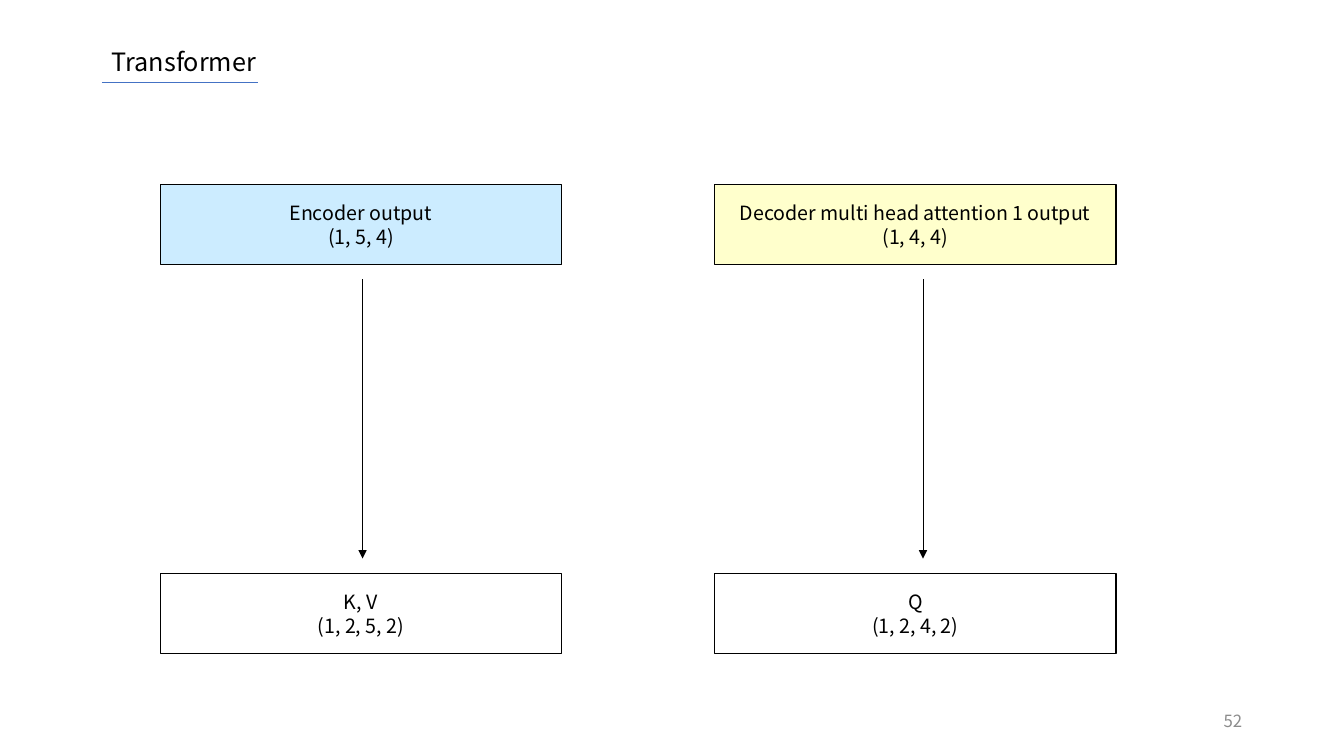
from dataclasses import dataclass

from lxml import etree
from pptx import Presentation
from pptx.dml.color import RGBColor
from pptx.enum import shapes, text
from pptx.oxml import ns
from pptx.util import Pt


@dataclass(frozen=True)
class Theme:
    """Colours, font and type sizes of the deck."""
    font: str = "Noto Sans CJK KR"
    ink: str = "000000"
    accent: str = "4472C4"
    muted: str = "8C8C8C"
    encoder: str = "CCECFF"
    decoder: str = "FFFFCC"
    plain: str = "FFFFFF"
    title_size: int = 18
    body_size: int = 14
    number_size: int = 12
    spacing: float = 1.0


THEME = Theme()


def write(shape, lines, size, color, align, anchor):
    """Fill a shape with one paragraph per line."""
    frame = shape.text_frame
    frame.word_wrap = True
    frame.vertical_anchor = anchor
    frame.text = "\n".join(lines)
    for para in frame.paragraphs:
        para.alignment = align
        para.line_spacing = THEME.spacing
        para.font.name = THEME.font
        para.font.size = Pt(size)
        para.font.color.rgb = RGBColor.from_string(color)


def add_line(page, start, end, color, arrow=False):
    """Draw a thin straight line, with an arrowhead at its end if asked."""
    line = page.shapes.add_connector(
        shapes.MSO_CONNECTOR.STRAIGHT, *map(Pt, start + end))
    line.line.color.rgb = RGBColor.from_string(color)
    line.line.width = Pt(0.5)
    properties = line._element.spPr
    etree.SubElement(properties, ns.qn("a:effectLst"))
    if arrow:
        outline = line.line._get_or_add_ln()
        etree.SubElement(outline, ns.qn("a:tailEnd"), type="triangle")


def add_title(page, box, title):
    """Place the title and the rule below it."""
    left, top, width, height = box
    heading = page.shapes.add_textbox(*map(Pt, box))
    write(heading, [title], THEME.title_size, THEME.ink,
          text.PP_ALIGN.LEFT, text.MSO_ANCHOR.TOP)
    rule = top + height + 0.5
    add_line(page, (left, rule), (left + 111.5, rule), THEME.accent)


def add_page_number(page, box, number):
    """Place the page number at the right of its box."""
    label = page.shapes.add_textbox(*map(Pt, box))
    write(label, [number], THEME.number_size, THEME.muted,
          text.PP_ALIGN.RIGHT, text.MSO_ANCHOR.MIDDLE)


def add_block(page, box, lines, fill):
    """Draw an outlined rectangle with centred lines of text."""
    block = page.shapes.add_shape(shapes.MSO_SHAPE.RECTANGLE, *map(Pt, box))
    block.shadow.inherit = False
    block.fill.solid()
    block.fill.fore_color.rgb = RGBColor.from_string(fill)
    block.line.color.rgb = RGBColor.from_string(THEME.ink)
    block.line.width = Pt(1)
    write(block, lines, THEME.body_size, THEME.ink,
          text.PP_ALIGN.CENTER, text.MSO_ANCHOR.MIDDLE)


def add_flow(page, box, source, result, fill, arrow_offset):
    """Draw a source block, an arrow and the resulting block in a column."""
    left, top, width, height = box
    block_height, gap = 57, 10.8
    bottom = top + height
    add_block(page, (left, top, width, block_height), source, fill)
    add_block(page, (left, bottom - block_height, width, block_height),
              result, THEME.plain)
    middle = left + arrow_offset
    add_line(page, (middle, top + block_height + gap),
             (middle, bottom - block_height - gap), THEME.ink, arrow=True)


def main():
    """Build and save the deck."""
    deck = Presentation()
    deck.slide_width, deck.slide_height = Pt(960), Pt(540)
    page = deck.slides.add_slide(deck.slide_layouts[6])
    add_page_number(page, (678.5, 500.5, 216, 28.8), "52")
    add_title(page, (72.8, 29.5, 328, 28.8), "Transformer")
    add_flow(page, (114.5, 131.8, 286.6, 335),
             ["Encoder output", "(1, 5, 4)"], ["K, V", "(1, 2, 5, 2)"],
             THEME.encoder, 144.5)
    add_flow(page, (510.5, 131.8, 286.6, 335),
             ["Decoder multi head attention 1 output", "(1, 4, 4)"],
             ["Q", "(1, 2, 4, 2)"], THEME.decoder, 148.8)
    deck.save("out.pptx")


if __name__ == "__main__":
    main()
